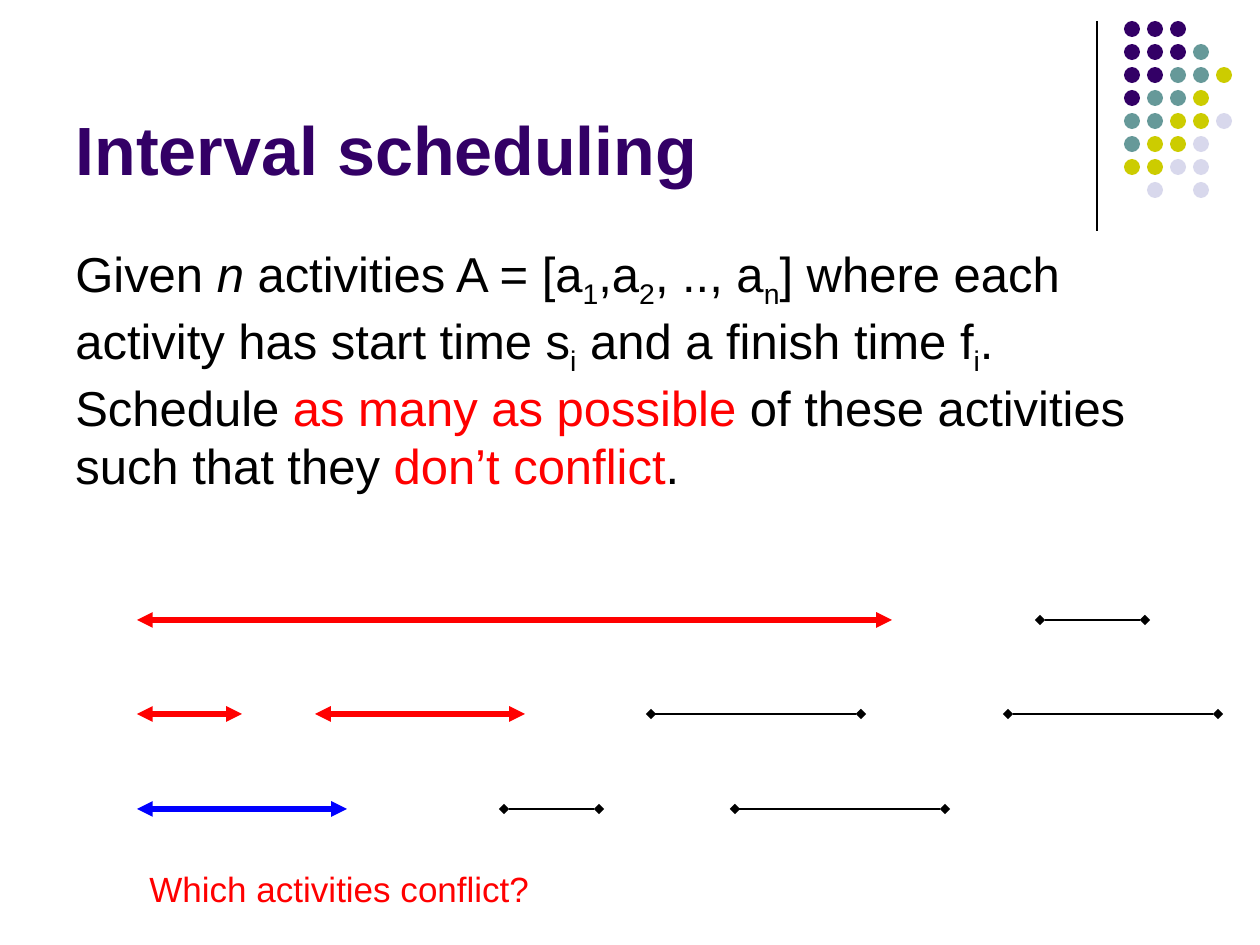
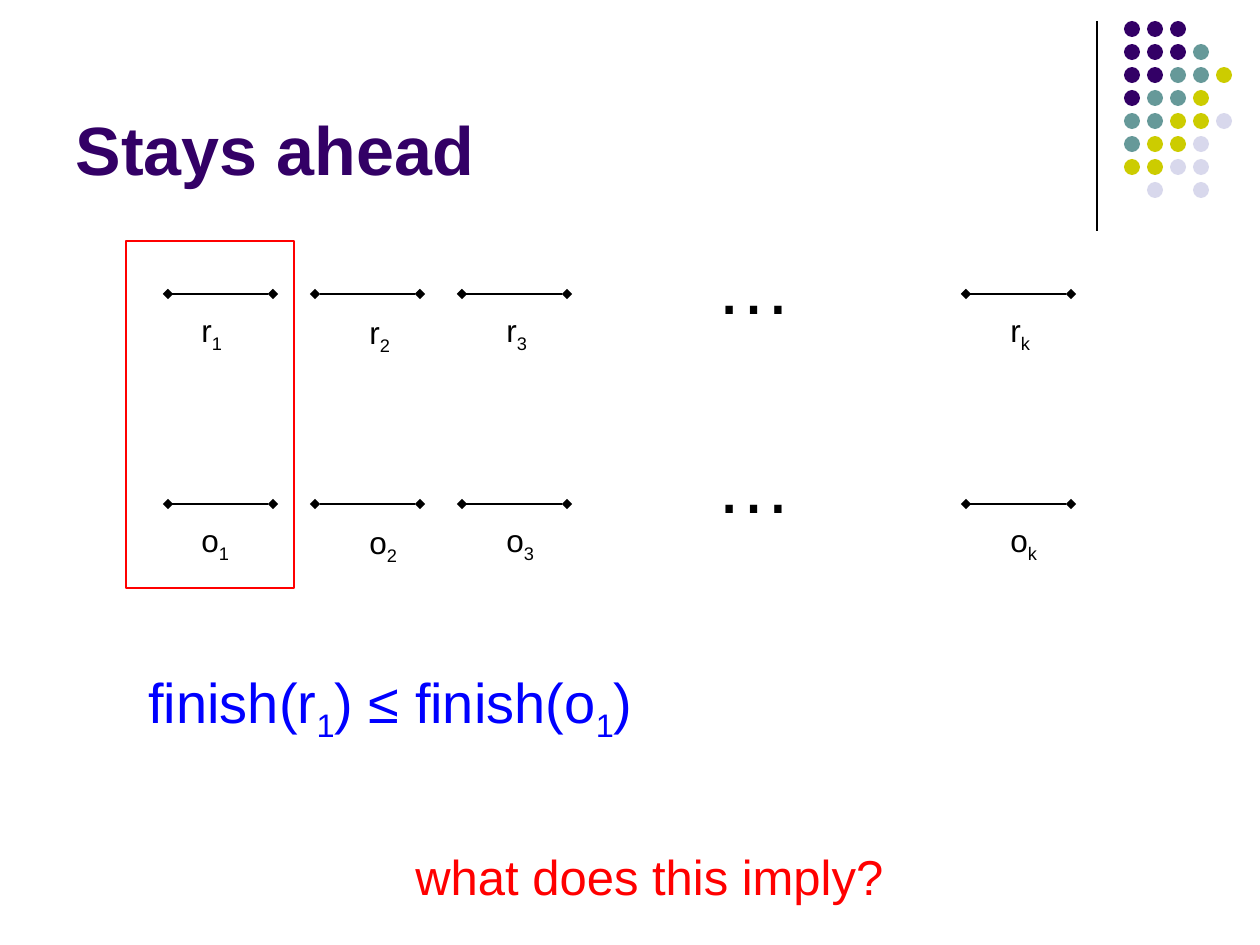
"""Build two slides on interval scheduling and the stays-ahead argument."""
from lxml import etree
from pptx import Presentation
from pptx.dml.color import RGBColor
from pptx.enum.shapes import MSO_CONNECTOR, MSO_SHAPE
from pptx.enum.text import MSO_ANCHOR, MSO_AUTO_SIZE, PP_ALIGN
from pptx.oxml.ns import qn
from pptx.util import Emu, Pt

STRAIGHT = MSO_CONNECTOR.STRAIGHT
OVAL, RECTANGLE = MSO_SHAPE.OVAL, MSO_SHAPE.RECTANGLE
BOTTOM, LEFT, NO_FIT = MSO_ANCHOR.BOTTOM, PP_ALIGN.LEFT, MSO_AUTO_SIZE.NONE

EMU_PER_PX = 914400 / 126
TITLE_ONLY = 5
FONT = "Arial"
BLACK, RED, BLUE, PURPLE = "000000", "FF0000", "0000FF", "330066"
DOT_COLORS = {"P": PURPLE, "T": "669999", "Y": "CCCC00", "L": "D8D8EC"}
DOT_ROWS = ["PPP", "PPPT", "PPTTY", "PTTY", "TTYYL", "TYYL", "YYLL", " L L"]
SUB, ITALIC, HOT = "sub", "italic", "hot"


def px(length):
    return Emu(round(length * EMU_PER_PX))


def rgb(value):
    return RGBColor.from_string(value)


class Deck:
    def __init__(self):
        self.prs = Presentation()
        self.prs.slide_width, self.prs.slide_height = px(1260), px(945)
        self.slide = None

    def add_slide(self, title):
        self.slide = self.prs.slides.add_slide(self.prs.slide_layouts[TITLE_ONLY])
        self.line(1097, 21, 1097, 231)
        self.dots()
        heading = self.slide.shapes.title
        heading.left, heading.top = px(63), px(16)
        heading.width, heading.height = px(1040), px(179)
        frame = heading.text_frame
        frame.vertical_anchor, frame.auto_size = BOTTOM, NO_FIT
        self.fill_text(frame, [title], 39, PURPLE, bold=True)

    def dots(self):
        cluster = self.slide.shapes.add_group_shape()
        for row, letters in enumerate(DOT_ROWS):
            for column, letter in enumerate(letters):
                if letter in DOT_COLORS:
                    dot = cluster.shapes.add_shape(
                        OVAL, px(1124 + 23 * column), px(21 + 23 * row), px(16), px(16))
                    dot.shadow.inherit = False
                    dot.fill.solid()
                    dot.fill.fore_color.rgb = rgb(DOT_COLORS[letter])
                    dot.line.fill.background()

    def fill_text(self, frame, pieces, size, color, bold=False):
        paragraph = frame.paragraphs[0]
        paragraph.alignment = LEFT
        font = paragraph.font
        font.name, font.size, font.bold = FONT, Pt(size), bold
        font.color.rgb = rgb(color)
        for piece in pieces:
            words, style = (piece, None) if isinstance(piece, str) else piece
            run = paragraph.add_run()
            run.text = words
            if style == SUB:
                run.font._element.set("baseline", "-25000")
            elif style == ITALIC:
                run.font.italic = True
            elif style == HOT:
                run.font.color.rgb = rgb(RED)

    def text(self, x, y, width, height, pieces, size, color=BLACK):
        frame = self.slide.shapes.add_textbox(
            px(x), px(y), px(width), px(height)).text_frame
        frame.word_wrap = True
        self.fill_text(frame, pieces, size, color)

    def line(self, x1, y1, x2, y2, color=BLACK, weight=0.75, ends=None):
        connector = self.slide.shapes.add_connector(
            STRAIGHT, px(x1), px(y1), px(x2), px(y2))
        connector.line.color.rgb = rgb(color)
        connector.line.width = Pt(weight)
        properties = connector._element.spPr
        etree.SubElement(properties, qn("a:effectLst"))
        if ends:
            outline = properties.find(qn("a:ln"))
            for tag in ("a:headEnd", "a:tailEnd"):
                etree.SubElement(outline, qn(tag), type=ends)

    def interval(self, start, finish, y):
        self.line(start, y, finish, y, ends="diamond")

    def marked_interval(self, start, finish, y, color):
        self.line(start, y, finish, y, color, 3, "triangle")

    def frame(self, x, y, width, height, color):
        outline = self.slide.shapes.add_shape(
            RECTANGLE, px(x), px(y), px(width), px(height))
        outline.shadow.inherit = False
        outline.fill.background()
        outline.line.color.rgb = rgb(color)
        outline.line.width = Pt(0.75)


def interval_scheduling(deck):
    deck.add_slide("Interval scheduling")
    top, middle, bottom = 620, 714, 809
    for start, finish, y, color in [(137, 892, top, RED), (137, 242, middle, RED),
                                    (137, 347, bottom, BLUE), (315, 525, middle, RED)]:
        deck.marked_interval(start, finish, y, color)
    for start, finish, y in [(504, 599, bottom), (651, 861, middle), (735, 945, bottom),
                             (1008, 1218, middle), (1040, 1145, top)]:
        deck.interval(start, finish, y)
    deck.text(137, 861, 462, 55, ["Which activities conflict?"], 20, RED)
    deck.text(63, 237, 1134, 299, [
        "Given ", ("n", ITALIC), " activities A = [a", ("1", SUB), ",a", ("2", SUB),
        ", .., a", ("n", SUB), "] where each activity has start time s", ("i", SUB),
        " and a finish time f", ("i", SUB), ". Schedule ",
        ("as many as possible ", HOT), "of these activities such that they ",
        ("don’t conflict", HOT), "."], 28)


def stays_ahead(deck):
    deck.add_slide("Stays ahead")
    columns = [("1", 168, 189, 11), ("2", 315, 357, 13),
               ("3", 462, 494, 11), ("k", 966, 998, 11)]
    for letter, y, ellipsis_y in [("r", 294, 231), ("o", 504, 430)]:
        for index, start, label_x, drop in columns:
            deck.interval(start, start + 105, y)
            deck.text(label_x, y + drop, 63, 55, [letter, (index, SUB)], 18)
        deck.text(703, ellipsis_y, 137, 106, ["…"], 44)
    deck.frame(126, 241, 168, 347, RED)
    deck.text(136, 661, 525, 89, [
        "finish(r", ("1", SUB), ") ≤ finish(o", ("1", SUB), ")"], 32, BLUE)
    deck.text(403, 840, 510, 72, ["what does this imply?"], 28, RED)


def main():
    deck = Deck()
    interval_scheduling(deck)
    stays_ahead(deck)
    deck.prs.save("out.pptx")


if __name__ == "__main__":
    main()
